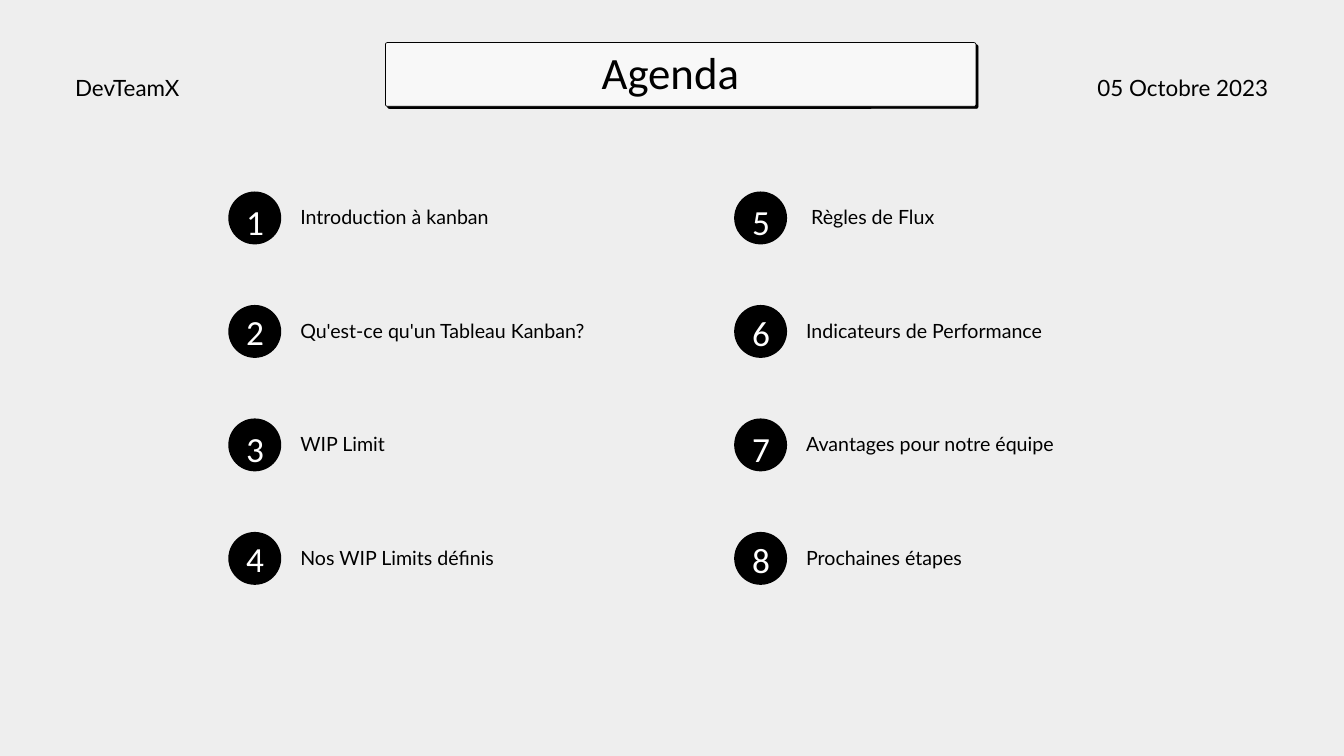
from pptx import Presentation
from pptx.dml.color import RGBColor
from pptx.enum.shapes import MSO_SHAPE
from pptx.enum.text import PP_ALIGN
from pptx.util import Cm, Pt

BLACK = "000000"
WHITE = "FFFFFF"
CARD = "F8F8F8"
BACKGROUND = "EEEEEE"

COLUMNS = [
    ["Introduction à kanban", "Qu'est-ce qu'un Tableau Kanban?", "WIP Limit", "Nos WIP Limits définis"],
    [" Règles de Flux", "Indicateurs de Performance", "Avantages pour notre équipe", "Prochaines étapes"],
]
EVEN_NUMBER_SHIFTS = [-0.08, -0.03]
ODD_NUMBER_SHIFT = 0.05


def color(value):
    return RGBColor.from_string(value)


class AgendaSlide:
    heading_font = "Calibri"
    body_font = "Lato"

    def __init__(self, presentation):
        self.slide = presentation.slides.add_slide(presentation.slide_layouts[6])
        fill = self.slide.background.fill
        fill.solid()
        fill.fore_color.rgb = color(BACKGROUND)

    def shape(self, kind, left, top, width, height, fill):
        shape = self.slide.shapes.add_shape(kind, Cm(left), Cm(top), Cm(width), Cm(height))
        shape.shadow.inherit = False
        shape.fill.solid()
        shape.fill.fore_color.rgb = color(fill)
        shape.line.fill.background()
        return shape

    def card(self, left, top, width, height, fill):
        shape = self.shape(MSO_SHAPE.ROUNDED_RECTANGLE, left, top, width, height, fill)
        shape.adjustments[0] = 0.03
        shape.line.color.rgb = color(BLACK)
        shape.line.width = Pt(0.75)

    def text(self, text, left, top, width, height, size, spacing,
             font=body_font, fill=BLACK, align=PP_ALIGN.LEFT):
        box = self.slide.shapes.add_textbox(Cm(left), Cm(top), Cm(width), Cm(height))
        frame = box.text_frame
        frame.word_wrap = True
        frame.margin_left = frame.margin_right = frame.margin_top = frame.margin_bottom = 0
        paragraph = frame.paragraphs[0]
        paragraph.text = text
        paragraph.alignment = align
        paragraph.line_spacing = Pt(spacing)
        paragraph.font.name = font
        paragraph.font.size = Pt(size)
        paragraph.font.color.rgb = color(fill)

    def title(self, text):
        for offset, fill in ((0.08, BLACK), (0, CARD)):
            self.card(14.57 + offset, 1.61 + offset, 22.32, 2.41, fill)
        self.text(text, 15.75, 1.73, 19.18, 1.98, 48, 56.6,
                  font=self.heading_font, align=PP_ALIGN.CENTER)

    def item(self, number, label, left, top, number_shift):
        self.shape(MSO_SHAPE.OVAL, left, top, 2, 2, BLACK)
        self.text(str(number), left + 0.38, top + number_shift, 1.27, 1.75, 37.8, 52.9,
                  font=self.heading_font, fill=WHITE, align=PP_ALIGN.CENTER)
        self.text(label, left + 2.72, top + 0.52, 11.66, 0.94, 21, 25.2)


def main():
    presentation = Presentation()
    presentation.slide_width = Cm(50.8)
    presentation.slide_height = Cm(28.58)
    agenda = AgendaSlide(presentation)
    agenda.title("Agenda")
    agenda.text("DevTeamX", 2.84, 2.64, 17.25, 1.12, 24, 33.6)
    agenda.text("05 Octobre 2023", 30.68, 2.64, 17.25, 1.12, 24, 33.6, align=PP_ALIGN.RIGHT)
    for column, labels in enumerate(COLUMNS):
        for row, label in enumerate(labels):
            number_shift = EVEN_NUMBER_SHIFTS[column] if row % 2 else ODD_NUMBER_SHIFT
            agenda.item(column * len(labels) + row + 1, label,
                        8.63 + 19.12 * column, 7.24 + 4.29 * row, number_shift)
    presentation.save("out.pptx")


if __name__ == "__main__":
    main()
